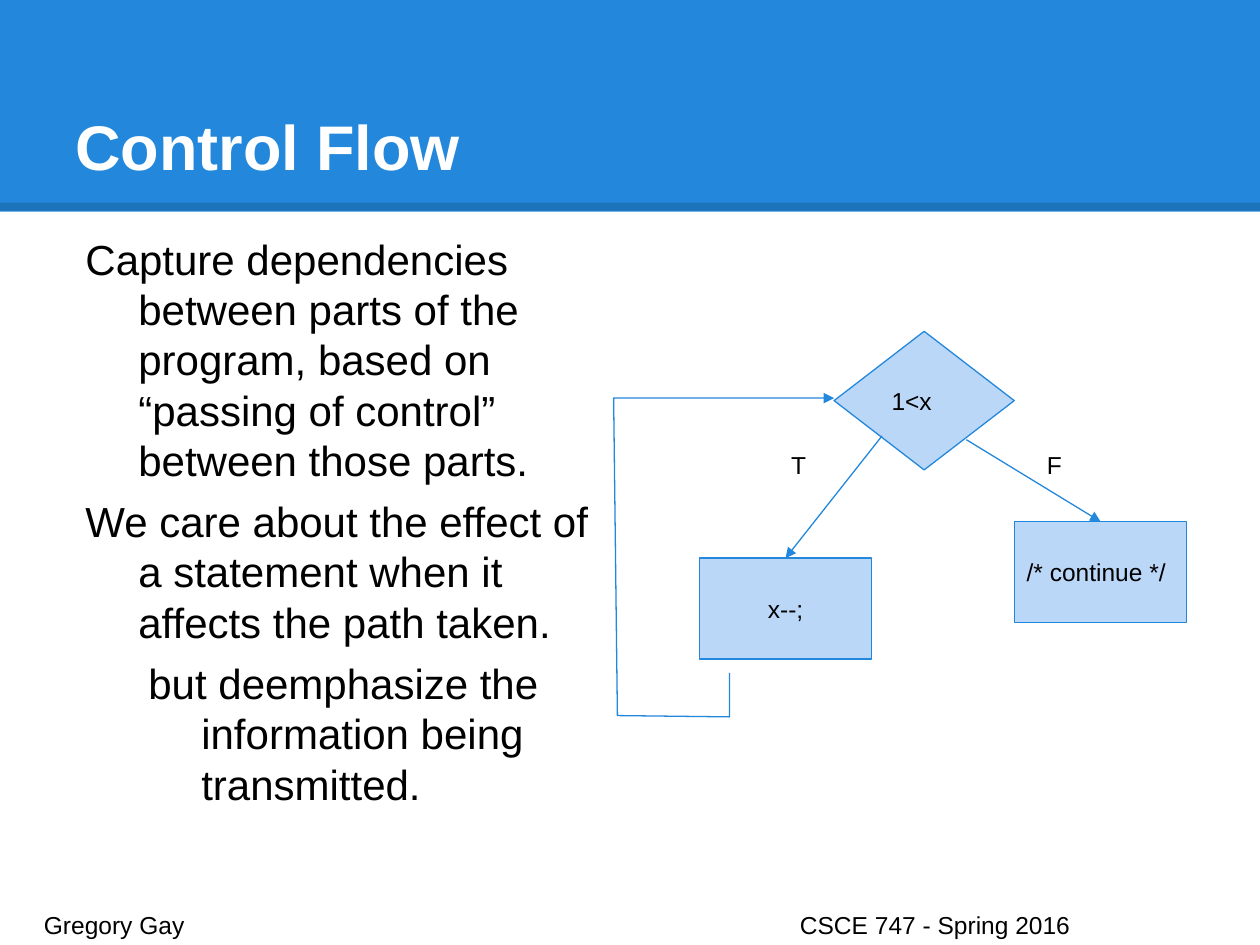
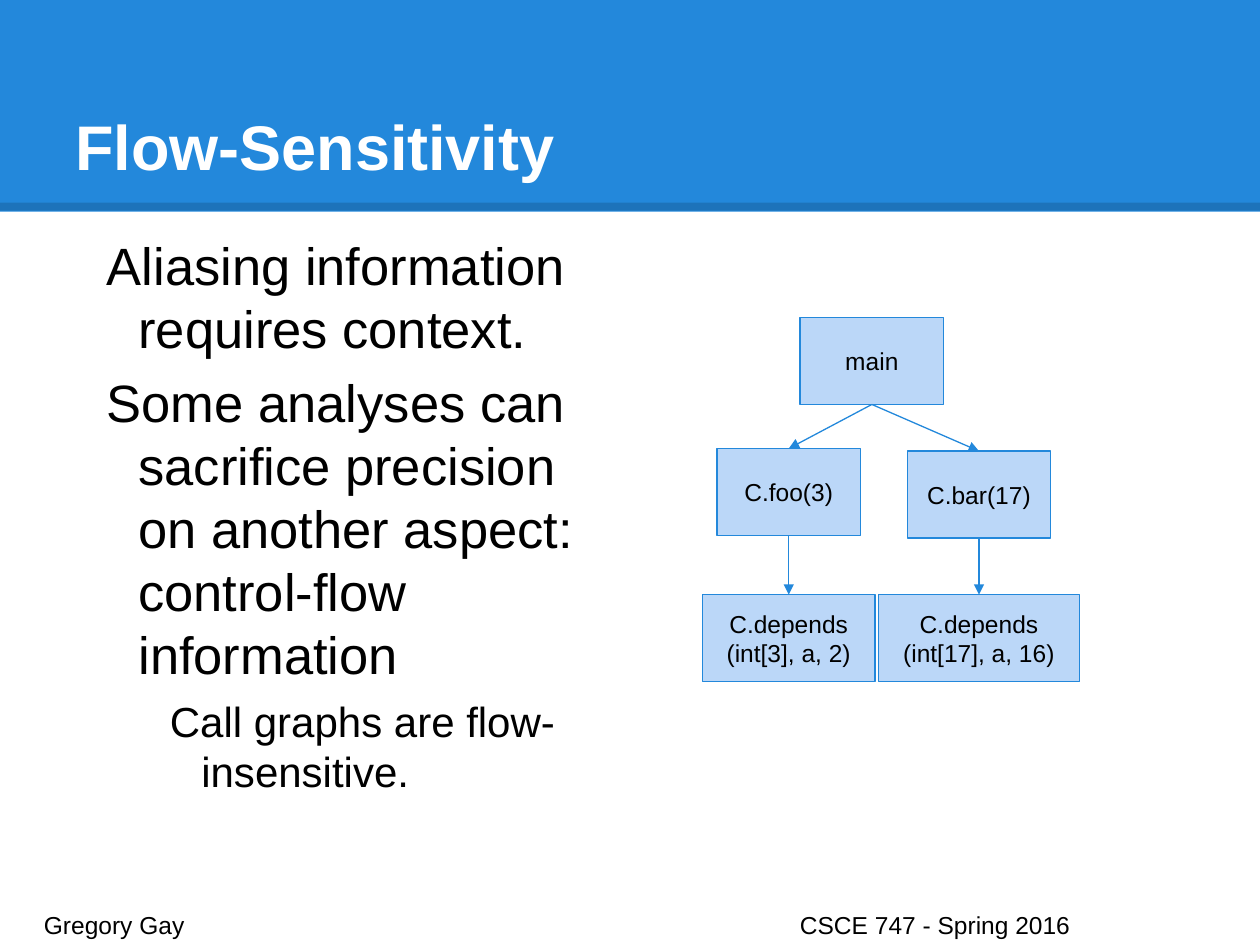
import pptx
import pptx.dml.color
import pptx.enum.shapes
import pptx.enum.text
import pptx.oxml
import pptx.oxml.ns
import pptx.util

COLUMNS, ROWS = 100, 75
UNIT = pptx.util.Inches(0.1)
BLUE, PALE, BLACK, WHITE = "2388DB", "BBD7F8", "000000", "FFFFFF"
SHAPES = pptx.enum.shapes.MSO_SHAPE
ANCHOR = pptx.enum.text.MSO_ANCHOR
ALIGN = pptx.enum.text.PP_ALIGN
TOP, BOTTOM = 0, 2
LABEL = {"size": pptx.util.Pt(14), "name": "Arial"}
TITLE = {"size": pptx.util.Pt(36), "name": "Arial", "bold": True}
FRAME = {
    "word_wrap": True,
    "margin_left": UNIT,
    "margin_right": UNIT,
    "margin_top": UNIT,
    "margin_bottom": UNIT,
}


def grid(*values):
    return [round(value * UNIT) for value in values]


def color(value):
    return pptx.dml.color.RGBColor.from_string(value)


def apply_format(target, values):
    for name, value in values.items():
        setattr(target, name, value)


def add_xml(parent, tag, content=""):
    namespace = pptx.oxml.ns.nsdecls("a")
    element = pptx.oxml.parse_xml(f"<a:{tag} {namespace}>{content}</a:{tag.split()[0]}>")
    parent.append(element)


def write_paragraph(paragraph, text, font=LABEL, font_color=BLACK, align=ALIGN.LEFT):
    paragraph.text = text
    paragraph.alignment = align
    for run in paragraph.runs:
        apply_format(run.font, font)
        run.font.color.rgb = color(font_color)


def prepare_frame(shape, anchor):
    apply_format(shape.text_frame, {**FRAME, "vertical_anchor": anchor})
    return shape.text_frame


def style_line(shape, width=0.75, line_color=BLUE):
    shape.line.color.rgb = color(line_color)
    shape.line.width = pptx.util.Pt(width)


def add_text(slide, text, place, anchor=ANCHOR.TOP, **style):
    frame = prepare_frame(slide.shapes.add_textbox(*grid(*place)), anchor)
    write_paragraph(frame.paragraphs[0], text, **style)
    return frame.paragraphs[0]


def add_node(slide, text, place, kind=SHAPES.RECTANGLE, align=ALIGN.CENTER):
    shape = slide.shapes.add_shape(kind, *grid(*place))
    shape.shadow.inherit = False
    shape.fill.solid()
    shape.fill.fore_color.rgb = color(PALE)
    style_line(shape)
    frame = prepare_frame(shape, ANCHOR.MIDDLE)
    write_paragraph(frame.paragraphs[0], text, align=align)
    return shape


def add_line(slide, start, end):
    kind = pptx.enum.shapes.MSO_CONNECTOR.STRAIGHT
    connector = slide.shapes.add_connector(kind, *grid(*start, *end))
    add_xml(connector._element.spPr, "effectLst")
    return connector


def add_arrowhead(shape):
    add_xml(shape.line._get_or_add_ln(), 'tailEnd type="triangle"')


def add_arrow(slide, target, start=(0, 0), source=None):
    arrow = add_line(slide, start, (0, 0))
    if source is not None:
        arrow.begin_connect(source, BOTTOM)
    arrow.end_connect(target, TOP)
    style_line(arrow)
    add_arrowhead(arrow)


def add_path(slide, points):
    first, *others = [grid(*point) for point in points]
    builder = slide.shapes.build_freeform(*first)
    builder.add_line_segments(others, close=False)
    path_shape = builder.convert_to_shape()
    path_shape.shadow.inherit = False
    path_shape.fill.background()
    style_line(path_shape)
    add_arrowhead(path_shape)


def add_body(slide, items, hanging):
    frame = prepare_frame(slide.shapes.add_textbox(*grid(5, 17.5, 43.7, 54.3)), ANCHOR.TOP)
    for index, (level, size, text) in enumerate(items):
        paragraph = frame.add_paragraph() if index else frame.paragraphs[0]
        if index:
            paragraph.space_before = pptx.util.Pt(6)
        properties = paragraph._p.get_or_add_pPr()
        properties.set("marL", str(pptx.util.Inches(0.5 * (level + 1))))
        properties.set("indent", str(-pptx.util.Inches(hanging)))
        write_paragraph(paragraph, text, {**LABEL, "size": pptx.util.Pt(size)})


def add_slide(presentation, title):
    slide = presentation.slides.add_slide(presentation.slide_layouts[6])
    band = slide.shapes.add_shape(SHAPES.RECTANGLE, *grid(0, 0, COLUMNS, 16.8))
    band.shadow.inherit = False
    band.fill.solid()
    band.fill.fore_color.rgb = color(BLUE)
    band.line.fill.background()
    edge = add_line(slide, (0, 16.4), (COLUMNS, 16.4))
    style_line(edge, 4.5, BLACK)
    for element in edge.line._get_or_add_ln().iter(pptx.oxml.ns.qn("a:srgbClr")):
        add_xml(element, 'alpha val="15000"')
    add_text(slide, title, (5, 3, 90, 12.5), ANCHOR.BOTTOM, font=TITLE, font_color=WHITE)
    footer = add_text(slide, "Gregory Gay\tCSCE 747 - Spring 2016", (2.5, 71.2, 95.1, 3))
    tab = f'<a:tab pos="{60 * UNIT}" algn="l"/>'
    add_xml(footer._p.get_or_add_pPr(), "tabLst", tab)
    return slide


def build_control_flow(presentation):
    slide = add_slide(presentation, "Control Flow")
    add_body(slide, [
        (0, 24, "Capture dependencies between parts of the program, based on “passing of control” between those parts."),
        (0, 24, "We care about the effect of a statement when it affects the path taken."),
        (1, 24, "but deemphasize the information being transmitted."),
    ], 0.42)
    decrement = add_node(slide, "x--;", (55.5, 44.3, 13.7, 8))
    finish = add_node(slide, "/* continue */", (80.5, 41.4, 13.7, 8), align=ALIGN.LEFT)
    add_arrow(slide, finish, start=(76.7, 34.9))
    add_node(slide, "1<x", (66.2, 26.3, 14.3, 11), SHAPES.DIAMOND, ALIGN.LEFT)
    add_arrow(slide, decrement, start=(70, 34.6))
    for branch, left in (("T", 61.8), ("F", 82.1)):
        add_text(slide, branch, (left, 34.7, 4.4, 3))
    add_path(slide, [(57.9, 53.4), (57.9, 56.9), (49, 56.8), (48.7, 31.6), (66.2, 31.6)])


def build_flow_sensitivity(presentation):
    slide = add_slide(presentation, "Flow-Sensitivity")
    add_body(slide, [
        (0, 30, "Aliasing information requires context."),
        (0, 30, "Some analyses can sacrifice precision on another aspect: control-flow information"),
        (1, 24, "Call graphs are flow-insensitive."),
    ], 0.25)
    height = 6.9
    main_call = add_node(slide, "main", (63.5, 25.2, 11.4, height))
    branches = [
        ("C.foo(3)", 62.6, 35.6, "C.depends\v(int[3], a, 2)", 13.7),
        ("C.bar(17)", 77.7, 35.8, "C.depends\v(int[17], a, 16)", 16),
    ]
    for call, center, top, dependency, width in branches:
        method = add_node(slide, call, (center - 5.7, top, 11.4, height))
        depends = add_node(slide, dependency, (center - width / 2, 47.2, width, height))
        add_arrow(slide, method, source=main_call)
        add_arrow(slide, depends, source=method)


def main():
    presentation = pptx.Presentation()
    presentation.slide_width, presentation.slide_height = grid(COLUMNS, ROWS)
    build_control_flow(presentation)
    build_flow_sensitivity(presentation)
    presentation.save("out.pptx")


if __name__ == "__main__":
    main()
